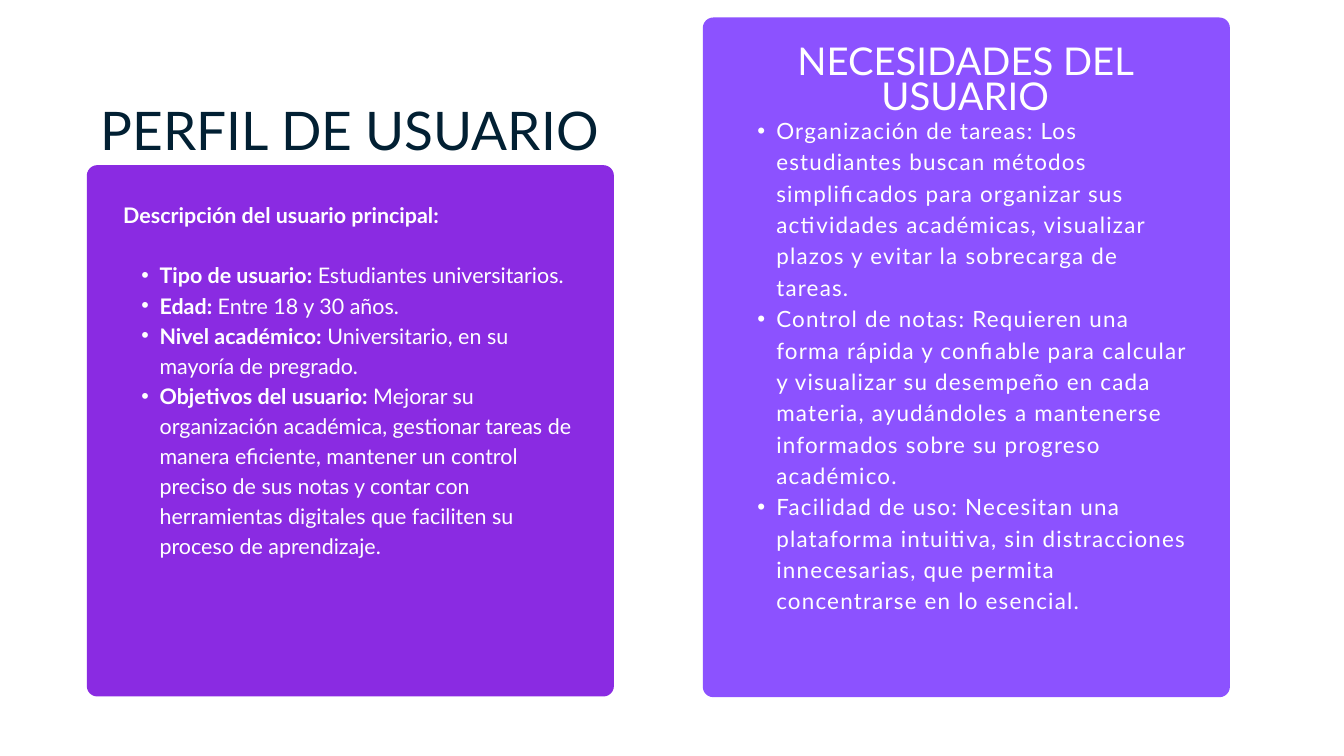
from dataclasses import dataclass

from lxml import etree
from pptx import Presentation
from pptx.dml.color import RGBColor
from pptx.enum.shapes import MSO_SHAPE
from pptx.enum.text import MSO_ANCHOR, MSO_AUTO_SIZE, PP_ALIGN
from pptx.oxml.ns import qn
from pptx.util import Pt

EMU_PER_PX = 9525
FONT = "Lato"
WHITE = RGBColor(0xFF, 0xFF, 0xFF)
NAVY = RGBColor(0x02, 0x20, 0x33)
VIOLET = RGBColor(0x8A, 0x2B, 0xE2)
LAVENDER = RGBColor(0x8C, 0x52, 0xFF)
ROUNDED = MSO_SHAPE.ROUNDED_RECTANGLE
TOP = MSO_ANCHOR.TOP
NO_FIT = MSO_AUTO_SIZE.NONE
LEFT, CENTER = PP_ALIGN.LEFT, PP_ALIGN.CENTER
TITLE_ONLY = 5
CORNER_RADIUS = 15


@dataclass(frozen=True)
class Area:
    left: int
    top: int
    width: int
    height: int

    def emu(self) -> tuple[int, ...]:
        return tuple(px(n) for n in (self.left, self.top, self.width, self.height))


@dataclass(frozen=True)
class Card:
    area: Area
    color: RGBColor


@dataclass(frozen=True)
class Item:
    """A paragraph: a bold label followed by plain text."""
    label: str = ""
    body: str = ""
    bulleted: bool = True
    gap_after: float = 0


CARDS = (
    Card(Area(124, 236, 753, 759), VIOLET),
    Card(Area(1004, 25, 753, 971), LAVENDER),
)

PROFILE = (
    Item("Descripción del usuario principal:", bulleted=False, gap_after=32.2),
    Item("Tipo de usuario: ", "Estudiantes universitarios."),
    Item("Edad: ", "Entre 18 y 30 años."),
    Item("Nivel académico:", " Universitario, en su mayoría de pregrado."),
    Item("Objetivos del usuario: ",
         "Mejorar su organización académica, gestionar tareas de manera eficiente, "
         "mantener un control preciso de sus notas y contar con herramientas "
         "digitales que faciliten su proceso de aprendizaje."),
)

NEEDS = (
    Item(body="Organización de tareas: Los estudiantes buscan métodos simplificados "
              "para organizar sus actividades académicas, visualizar plazos y evitar "
              "la sobrecarga de tareas."),
    Item(body="Control de notas: Requieren una forma rápida y confiable para calcular "
              "y visualizar su desempeño en cada materia, ayudándoles a mantenerse "
              "informados sobre su progreso académico."),
    Item(body="Facilidad de uso: Necesitan una plataforma intuitiva, sin distracciones "
              "innecesarias, que permita concentrarse en lo esencial."),
)


def px(length: int) -> int:
    return length * EMU_PER_PX


def add_card(page, card: Card) -> None:
    shape = page.shapes.add_shape(ROUNDED, *card.area.emu())
    shape.adjustments[0] = CORNER_RADIUS / min(card.area.width, card.area.height)
    shape.shadow.inherit = False
    shape.fill.solid()
    shape.fill.fore_color.rgb = card.color
    shape.line.fill.background()


def add_bullet(para, indent: int) -> None:
    para.level = 1
    properties = para._p.get_or_add_pPr()
    properties.set("marL", str(px(indent)))
    properties.set("indent", str(-px(indent // 2)))
    etree.SubElement(properties, qn("a:buFont")).set("typeface", "Arial")
    etree.SubElement(properties, qn("a:buChar")).set("char", "•")


def write_text(box, items: tuple[Item, ...], *, size: int, leading: float,
               color: RGBColor = WHITE, align=LEFT, indent: int = 0,
               tracking: float = 0) -> None:
    """Fill a box; size, leading and tracking are points, indent is px."""
    frame = box.text_frame
    frame.word_wrap = True
    frame.auto_size = NO_FIT
    frame.vertical_anchor = TOP
    frame.margin_left = frame.margin_top = frame.margin_right = frame.margin_bottom = 0
    for index, item in enumerate(items):
        para = frame.add_paragraph() if index else frame.paragraphs[0]
        para.alignment = align
        para.line_spacing = Pt(leading)
        para.space_after = Pt(item.gap_after)
        if item.bulleted:
            add_bullet(para, indent)
        for text, bold in ((item.label, True), (item.body, False)):
            if not text:
                continue
            span = para.add_run()
            span.text = text
            span.font.name = FONT
            span.font.size = Pt(size)
            span.font.bold = bold
            span.font.color.rgb = color
            if tracking:
                span._r.get_or_add_rPr().set("spc", str(round(tracking * 100)))


def add_text(page, area: Area, items: tuple[Item, ...], **text_format) -> None:
    write_text(page.shapes.add_textbox(*area.emu()), items, **text_format)


def main() -> None:
    deck = Presentation()
    deck.slide_width, deck.slide_height = px(1920), px(1080)
    page = deck.slides.add_slide(deck.slide_layouts[TITLE_ONLY])

    title = page.shapes.title
    title.left, title.top, title.width, title.height = Area(144, 161, 792, 74).emu()
    write_text(title, (Item(body="PERFIL DE USUARIO", bulleted=False),),
               size=57, leading=52.4, color=NAVY)

    for card in CARDS:
        add_card(page, card)

    add_text(page, Area(1025, 68, 708, 55),
             (Item(body="NECESIDADES DEL USUARIO", bulleted=False),),
             size=41, leading=37.7, align=CENTER)
    add_text(page, Area(1055, 161, 650, 797), NEEDS,
             size=24, leading=33.6, indent=54, tracking=1.3)
    add_text(page, Area(176, 283, 650, 587), PROFILE,
             size=23, leading=32.2, indent=52)

    deck.save("out.pptx")


if __name__ == "__main__":
    main()
